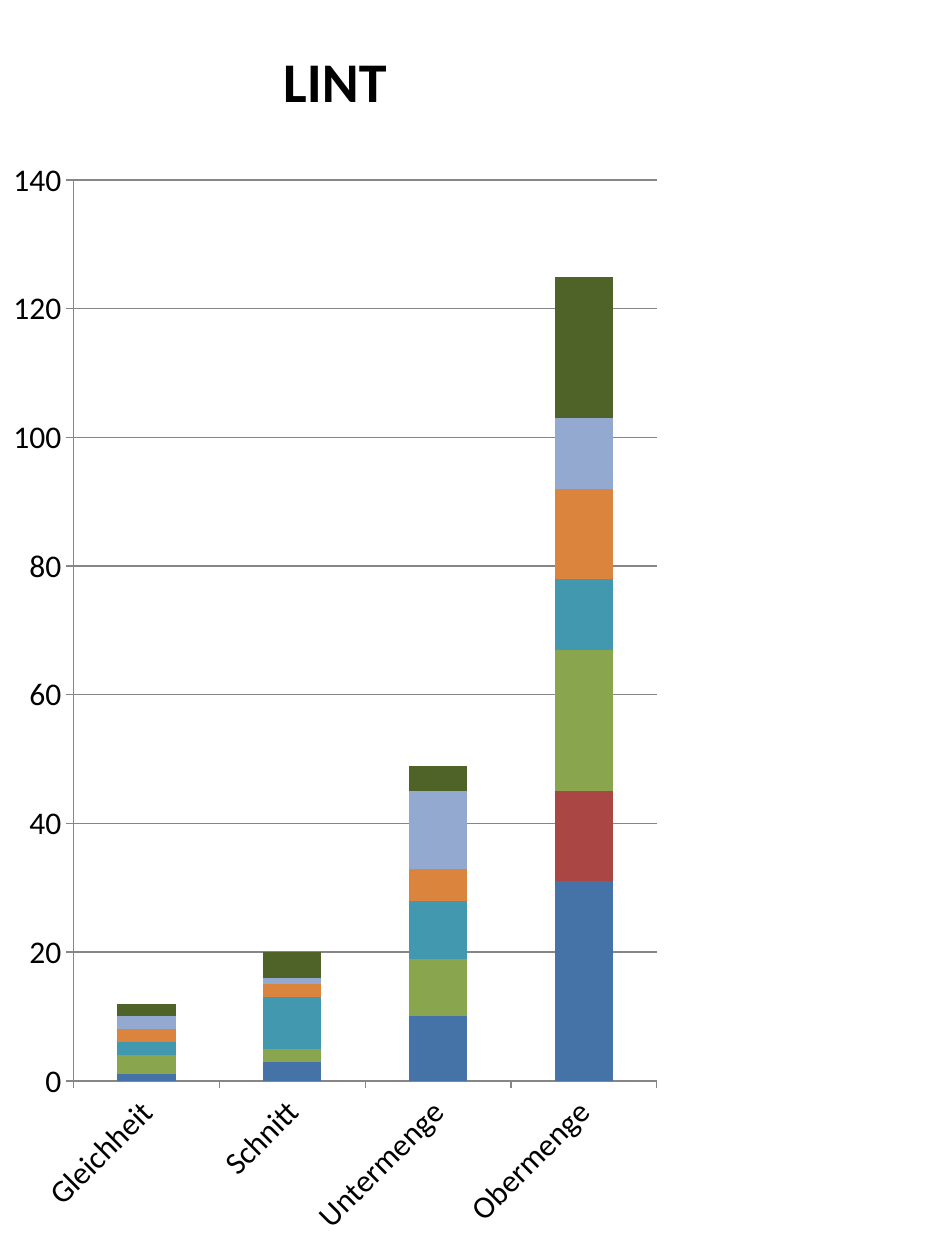
from lxml.etree import fromstring
from pptx import Presentation
from pptx.chart.data import CategoryChartData
from pptx.dml.color import RGBColor
from pptx.enum.chart import XL_CHART_TYPE as ChartType, XL_TICK_MARK as TickMark
from pptx.oxml.ns import nsdecls
from pptx.util import Pt

BLACK = RGBColor(0x00, 0x00, 0x00)
GRAY = RGBColor(0x86, 0x86, 0x86)
BLUE = RGBColor(0x45, 0x72, 0xA7)
RED = RGBColor(0xAA, 0x46, 0x43)
GREEN = RGBColor(0x89, 0xA5, 0x4E)
TEAL = RGBColor(0x41, 0x98, 0xAF)
ORANGE = RGBColor(0xDB, 0x84, 0x3D)
LIGHT_BLUE = RGBColor(0x93, 0xA9, 0xCF)
DARK_GREEN = RGBColor(0x4F, 0x62, 0x28)

CATEGORIES = ["Gleichheit", "Schnitt", "Untermenge", "Obermenge"]
SERIES = [
    (BLUE, (1, 3, 10, 31)),
    (RED, (0, 0, 0, 14)),
    (GREEN, (3, 2, 9, 22)),
    (TEAL, (2, 8, 9, 11)),
    (ORANGE, (2, 2, 5, 14)),
    (LIGHT_BLUE, (2, 1, 12, 11)),
    (DARK_GREEN, (2, 4, 4, 22)),
]


def set_font(font, size, bold=False):
    font.name = "Calibri"
    font.size = Pt(size)
    font.bold = bold
    font.color.rgb = BLACK


def set_line(line):
    line.color.rgb = GRAY
    line.width = Pt(0.75)


def add_stacked_chart(slide, left, top, width, height):
    data = CategoryChartData()
    data.categories = CATEGORIES
    for number, (_, values) in enumerate(SERIES, start=1):
        data.add_series(f"Series {number}", values)
    frame = slide.shapes.add_chart(
        ChartType.COLUMN_STACKED, left, top, width, height, data)
    chart = frame.chart
    chart.has_legend = False
    set_font(chart.font, 18)
    plot = chart.plots[0]
    plot.gap_width = 150
    plot.overlap = 100
    plot.vary_by_categories = False
    for series, (color, _) in zip(plot.series, SERIES):
        series.format.fill.solid()
        series.format.fill.fore_color.rgb = color
    return chart


def add_chart_title(chart, text):
    chart.has_title = True
    chart.chart_title.include_in_layout = False
    run = chart.chart_title.text_frame.paragraphs[0].add_run()
    run.text = text
    set_font(run.font, 32, bold=True)


def format_axes(chart):
    for axis in (chart.category_axis, chart.value_axis):
        axis.major_tick_mark = TickMark.OUTSIDE
        axis.minor_tick_mark = TickMark.NONE
        set_font(axis.tick_labels.font, 18)
        set_line(axis.format.line)
    value_axis = chart.value_axis
    value_axis.minimum_scale = 0
    value_axis.maximum_scale = 140
    value_axis.major_unit = 20
    value_axis.has_major_gridlines = True
    set_line(value_axis.major_gridlines.format.line)
    body = chart.category_axis._element.txPr.bodyPr
    body.set("rot", "-2700000")
    body.set("vert", "horz")


def place_plot(chart, x, y, width, height):
    """Fix the inner plot area, in fractions of the chart."""
    area = chart._chartSpace.chart.plotArea
    for layout in area.findall("{*}layout"):
        area.remove(layout)
    area.insert(0, fromstring(
        f'<c:layout {nsdecls("c")}><c:manualLayout>'
        '<c:layoutTarget val="inner"/>'
        '<c:xMode val="edge"/><c:yMode val="edge"/>'
        f'<c:x val="{x}"/><c:y val="{y}"/>'
        f'<c:w val="{width}"/><c:h val="{height}"/>'
        '</c:manualLayout></c:layout>'))


def main():
    presentation = Presentation()
    presentation.slide_width = Pt(540)
    presentation.slide_height = Pt(720)
    slide = presentation.slides.add_slide(presentation.slide_layouts[6])
    chart = add_stacked_chart(slide, Pt(0), Pt(0), Pt(383), Pt(720))
    add_chart_title(chart, "LINT")
    format_axes(chart)
    place_plot(chart, 0.11, 0.143, 0.87, 0.715)
    presentation.save("out.pptx")


if __name__ == "__main__":
    main()
